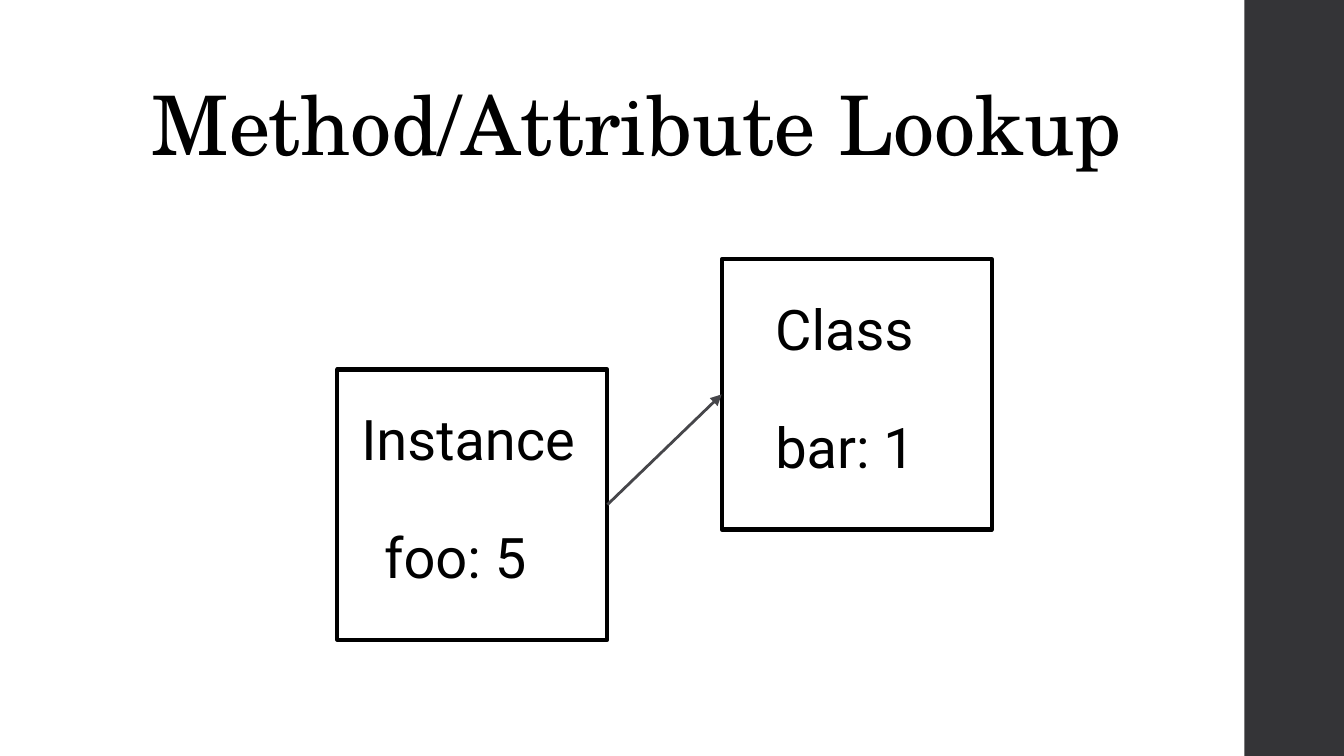
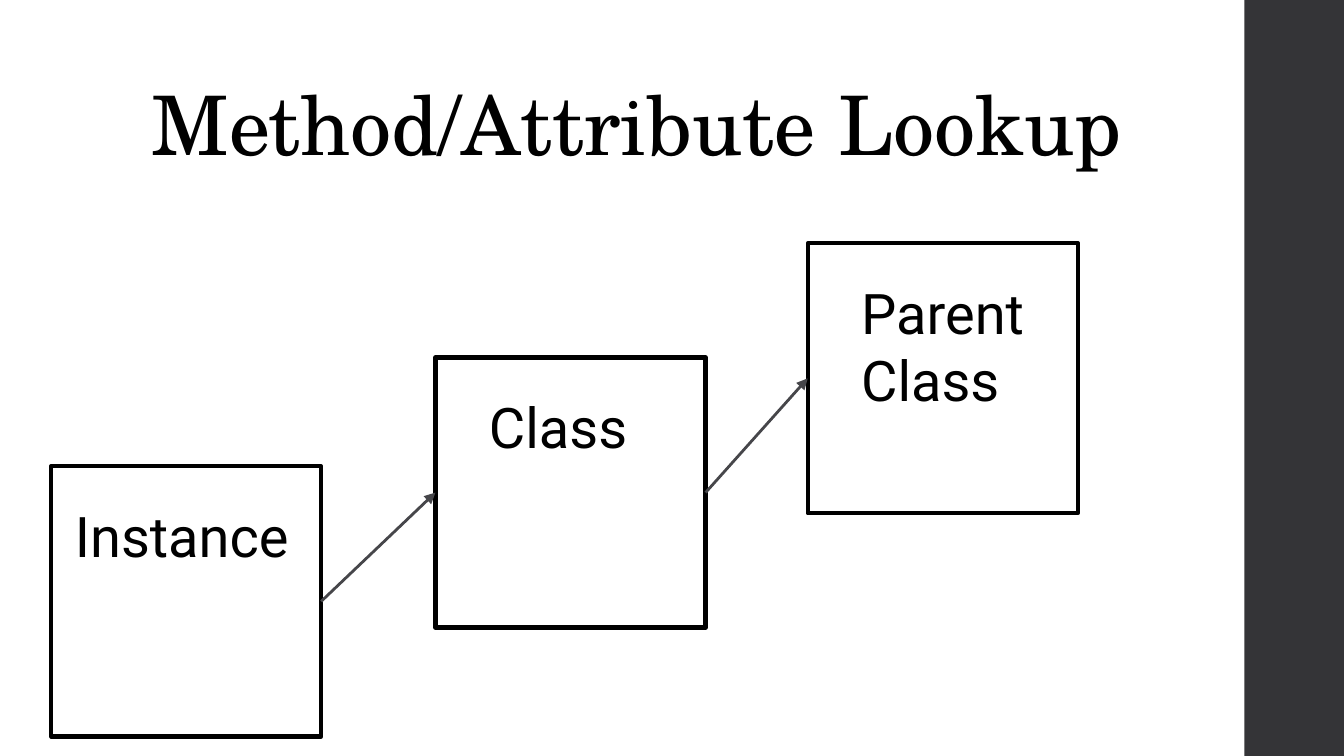
from itertools import pairwise
from lxml.etree import SubElement
from pptx import Presentation
from pptx.dml.color import RGBColor
from pptx.enum.shapes import MSO_CONNECTOR, MSO_SHAPE
from pptx.enum.text import MSO_ANCHOR, MSO_AUTO_SIZE, PP_ALIGN
from pptx.oxml.ns import qn
from pptx.util import Inches, Pt

COLS, ROWS = 40, 22.5
CELL = Inches(0.25)
SIDE = 8.04
INK, BAND, WIRE = "000000", "343437", "46464A"
INSET = Inches(0.1)
FRAME = {
    "word_wrap": True,
    "auto_size": MSO_AUTO_SIZE.NONE,
    "margin_left": INSET,
    "margin_right": INSET,
    "margin_top": INSET,
    "margin_bottom": INSET,
}
HEAD = {"name": "TeX Gyre Schola", "size": Pt(44), "bold": False}
BODY = {"name": "Roboto", "size": Pt(30)}


def color(code):
    return RGBColor.from_string(code)


def grid(*cells):
    return [round(cell * CELL) for cell in cells]


def apply(item, values):
    for name, value in values.items():
        setattr(item, name, value)


class Deck:
    def __init__(self):
        self.deck = Presentation()
        size = grid(COLS, ROWS)
        apply(self.deck, dict(zip(("slide_width", "slide_height"), size)))
        self.layout = self.deck.slide_layouts[5]
        self.slide = None

    def page(self, title):
        first = self.slide is None
        self.slide = self.deck.slides.add_slide(self.layout)
        if first:
            self.band()
        self.title(title)

    def band(self):
        left = 37.04
        band = self.rect(left, 0, COLS - left, ROWS)
        band.fill.solid()
        band.fill.fore_color.rgb = color(BAND)
        band.line.fill.background()
        self.layout.shapes._spTree.insert(2, band._element)

    def title(self, text):
        shape = self.slide.shapes.title
        place = grid(4.12, 1.2, 31.8, 4.36)
        apply(shape, dict(zip(("left", "top", "width", "height"), place)))
        self.words(shape.text_frame, text, HEAD, MSO_ANCHOR.BOTTOM, 0.9)

    def words(self, frame, text, font, anchor=MSO_ANCHOR.TOP, space=1.0):
        frame.text = text
        apply(frame, FRAME)
        frame.vertical_anchor = anchor
        for para in frame.paragraphs:
            apply(para, {"alignment": PP_ALIGN.LEFT, "line_spacing": space})
            for run in para.runs:
                apply(run.font, font)
                run.font.color.rgb = color(INK)

    def rect(self, *place):
        shape = self.slide.shapes.add_shape(MSO_SHAPE.RECTANGLE, *grid(*place))
        shape.shadow.inherit = False
        return shape

    def label(self, text, *place):
        box = self.slide.shapes.add_textbox(*grid(*place))
        self.words(box.text_frame, text, BODY)

    def node(self, left, top, name, shift, value=None, inset=1.2):
        box = self.rect(left, top, SIDE, SIDE)
        box.fill.background()
        box.line.color.rgb = color(INK)
        box.line.width = Pt(2.25)
        self.label(name, left + shift, top + 0.64, 7.36, 3.32)
        if value:
            self.label(value, left + inset, top + 4.16, 6.2, 3.08)
        return box

    def arrow(self, start, end):
        line = self.slide.shapes.add_connector(MSO_CONNECTOR.STRAIGHT, 0, 0, 0, 0)
        line.begin_connect(start, 3)
        line.end_connect(end, 1)
        line.line.color.rgb = color(WIRE)
        line.line.width = Pt(1.5)
        SubElement(line.line._get_or_add_ln(), qn("a:tailEnd"), type="triangle")
        SubElement(line._element.spPr, qn("a:effectLst"))

    def chain(self, title, nodes):
        self.page(title)
        boxes = [self.node(*node) for node in nodes]
        for start, end in pairwise(boxes):
            self.arrow(start, end)


def main():
    deck = Deck()
    title = "Method/Attribute Lookup"
    deck.chain(title, [
        (10.04, 11, "Instance", 0.32, "foo: 5", 1),
        (21.48, 7.72, "Class", 1.2, "bar: 1"),
    ])
    deck.chain(title, [
        (1.52, 13.88, "Instance", 0.32),
        (12.96, 10.64, "Class", 1.2),
        (24.04, 7.24, "Parent\nClass", 1.2),
    ])
    deck.deck.save("out.pptx")


if __name__ == "__main__":
    main()
